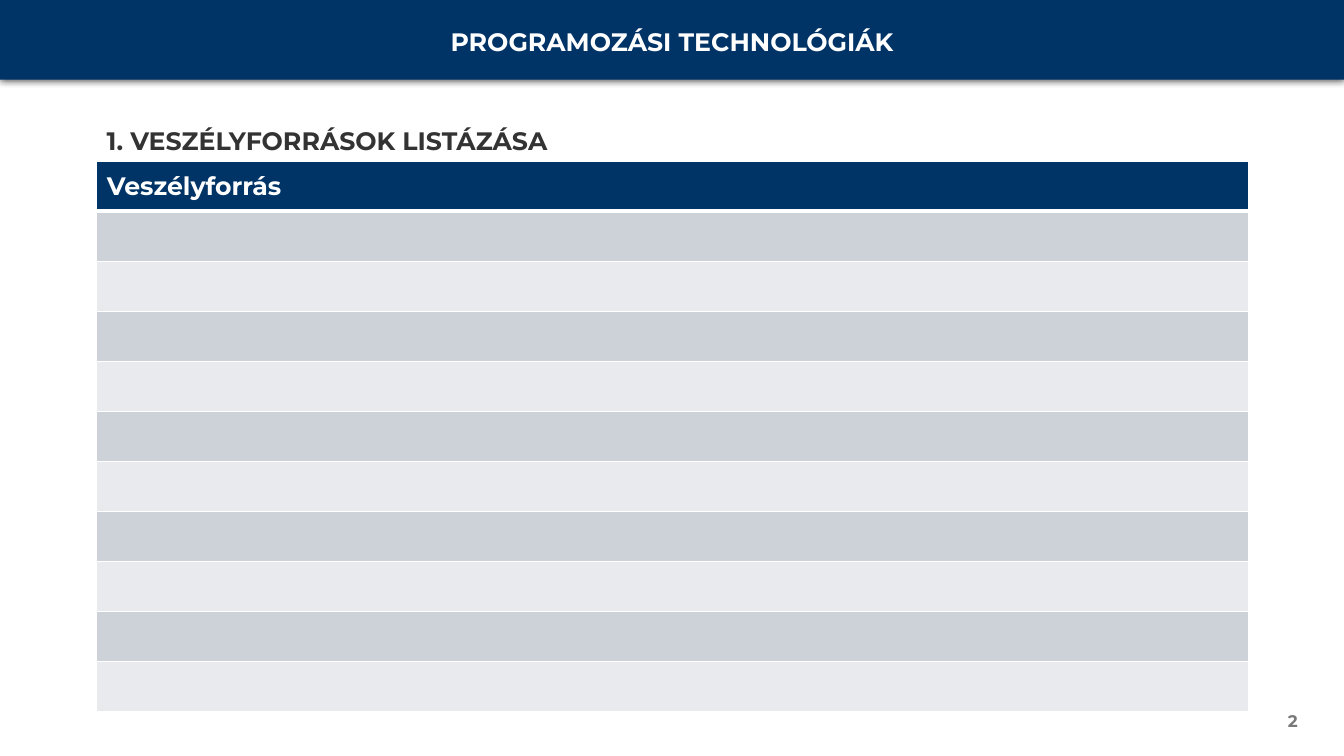
from pptx import Presentation
from pptx import util as u
from pptx.dml.color import RGBColor
from pptx.enum import shapes, text
from pptx.oxml import parse_xml
from pptx.oxml.ns import nsdecls

NAVY = RGBColor(0x00, 0x33, 0x66)
WHITE = RGBColor(0xFF, 0xFF, 0xFF)
CHARCOAL = RGBColor(0x33, 0x33, 0x33)
GREY = RGBColor(0x79, 0x79, 0x79)
BAND_DARK = RGBColor(0xCC, 0xD2, 0xD8)
BAND_LIGHT = RGBColor(0xE8, 0xEA, 0xED)

FONT = "Montserrat"
HAZARD_ROWS = 10


def write_text(frame, words, color, size=18, align=text.PP_ALIGN.LEFT):
    paragraph = frame.paragraphs[0]
    paragraph.alignment = align
    run = paragraph.add_run()
    run.text = words
    run.font.color.rgb = color
    formats = {"name": FONT, "size": u.Pt(size), "bold": True}
    for name, value in formats.items():
        setattr(run.font, name, value)


def add_label(slide, box, words, color, anchor=text.MSO_ANCHOR.TOP, **formats):
    frame = slide.shapes.add_textbox(*map(u.Inches, box)).text_frame
    frame.word_wrap = True
    frame.vertical_anchor = anchor
    write_text(frame, words, color, **formats)


def add_header(slide, box, title):
    left, top, width, height = box
    # Navy band with a soft shadow below it
    band = slide.shapes.add_shape(shapes.MSO_SHAPE.RECTANGLE, *map(u.Inches, box))
    band.fill.solid()
    band.fill.fore_color.rgb = NAVY
    band.line.fill.background()
    band.shadow.inherit = False
    effects = band.element.spPr.find("{*}effectLst")
    effects.append(parse_xml(
        f'<a:outerShdw {nsdecls("a")} blurRad="{u.Pt(6)}" dist="0" dir="5400000" '
        'rotWithShape="0"><a:srgbClr val="000000"><a:alpha val="80000"/>'
        '</a:srgbClr></a:outerShdw>'))
    # Centred course title
    title_width = 5.22
    title_box = (left + (width - title_width) / 2, top + 0.21, title_width, 0.4)
    add_label(slide, title_box, title, WHITE, align=text.PP_ALIGN.CENTER)


def style_cell(cell, fill, top_width=1, bottom_width=1):
    properties = cell._tc.get_or_add_tcPr()
    borders = {"lnL": 1, "lnR": 1, "lnT": top_width, "lnB": bottom_width}
    for side, width in borders.items():
        properties.append(parse_xml(
            f'<a:{side} {nsdecls("a")} w="{u.Pt(width)}"><a:solidFill>'
            f'<a:srgbClr val="{WHITE}"/></a:solidFill></a:{side}>'))
    cell.fill.solid()
    cell.fill.fore_color.rgb = fill


def add_hazard_section(slide, box, heading, column_title):
    left, top, width, height = box
    heading_height = 0.41
    add_label(slide, (left, top, width, 0.4), heading, CHARCOAL)

    # Table below the heading: one title row, then empty banded rows
    table_box = (left, top + heading_height, width, height - heading_height)
    table = slide.shapes.add_table(
        HAZARD_ROWS + 1, 1, *map(u.Inches, table_box)).table
    title_cell = table.cell(0, 0)
    style_cell(title_cell, NAVY, bottom_width=3)
    title_cell.vertical_anchor = text.MSO_ANCHOR.MIDDLE
    write_text(title_cell.text_frame, column_title, WHITE)
    for row in range(1, HAZARD_ROWS + 1):
        style_cell(table.cell(row, 0), BAND_DARK if row % 2 else BAND_LIGHT,
                   top_width=3 if row == 1 else 1)


def add_page_number(slide, box, number):
    add_label(slide, box, number, GREY, anchor=text.MSO_ANCHOR.MIDDLE,
              size=12, align=text.PP_ALIGN.RIGHT)


def main():
    presentation = Presentation()
    presentation.slide_width = u.Inches(13.33)
    presentation.slide_height = u.Inches(7.5)
    slide = presentation.slides.add_slide(presentation.slide_layouts[6])

    add_header(slide, (0, 0, 13.33, 0.79), "PROGRAMOZÁSI TECHNOLÓGIÁK")
    add_page_number(slide, (9.97, 6.95, 3, 0.4), "2")
    add_hazard_section(slide, (0.96, 1.19, 11.42, 5.87),
                       "1. VESZÉLYFORRÁSOK LISTÁZÁSA", "Veszélyforrás")
    presentation.save("out.pptx")


if __name__ == "__main__":
    main()
